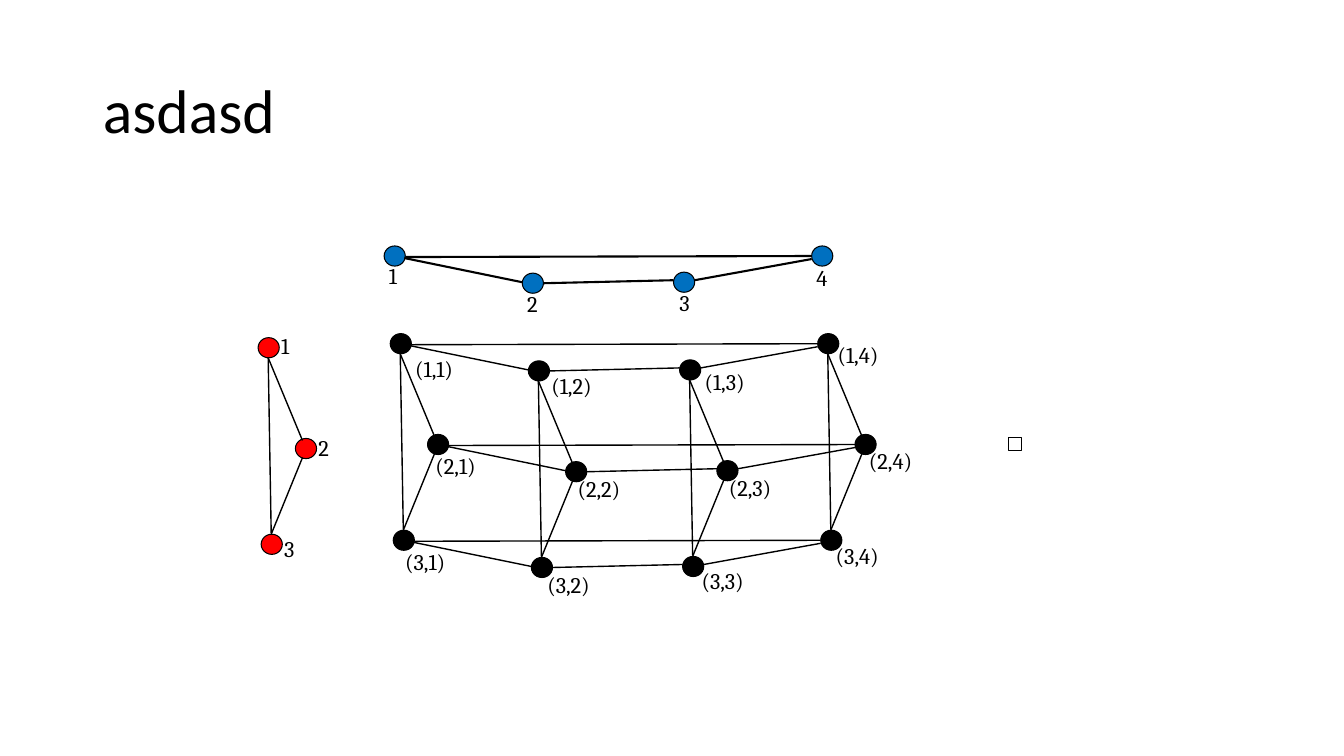
from dataclasses import dataclass

from lxml import etree
from pptx import Presentation
from pptx.dml.color import RGBColor
from pptx.enum.shapes import MSO_CONNECTOR, MSO_SHAPE
from pptx.enum.text import MSO_ANCHOR, MSO_AUTO_SIZE, PP_ALIGN
from pptx.oxml.ns import qn
from pptx.util import Inches, Pt

ELLIPSE, RECTANGLE = MSO_SHAPE.OVAL, MSO_SHAPE.RECTANGLE
STRAIGHT = MSO_CONNECTOR.STRAIGHT
LEFT, MIDDLE = PP_ALIGN.LEFT, MSO_ANCHOR.MIDDLE
GROW = MSO_AUTO_SIZE.SHAPE_TO_FIT_TEXT


@dataclass(frozen=True)
class Theme:
    ink: RGBColor = RGBColor(0, 0, 0)
    red: RGBColor = RGBColor(0xFF, 0, 0)
    blue: RGBColor = RGBColor(0, 0x70, 0xC0)
    title_font: str = "Calibri"
    label_font: str = "Cambria"
    title_size: int = 44
    label_size: int = 16
    outline: float = 0.75
    edge: float = 1
    bold_edge: float = 1.5


THEME = Theme()
TITLE = "asdasd"
NODE_SIZE = (0.21, 0.2)
LABEL_HEIGHT = 0.37

# Top-left corner of the first node in each graph
PRODUCT_START, TRIANGLE_START, CYCLE_START = (3.87, 3.31), (2.56, 3.35), (3.81, 2.44)

# Node offsets from the first node of a triangle or a four-node cycle
TRIANGLE_NODES = [(0, 0), (0.37, 1), (0.03, 1.95)]
CYCLE_NODES = [(0, 0), (1.37, 0.27), (2.87, 0.26), (4.24, 0)]

# Edge ends, measured from the same corner
TRIANGLE_EDGES = [
    ((0.13, 1.95), (0.44, 1.19)),
    ((0.1, 0.2), (0.44, 1.02)),
    ((0.1, 0.2), (0.13, 1.94)),
]
CYCLE_EDGES = [
    ((0.2, 0.12), (1.37, 0.36)),
    ((3.08, 0.34), (4.24, 0.13)),
    ((1.58, 0.37), (2.87, 0.34)),
    ((0.21, 0.11), (4.24, 0.1)),
]

# Label corners, listed in node order
TRIANGLE_LABELS = [(2.69, 3.25), (3.06, 4.26), (2.72, 5.26)]
CYCLE_LABELS = [(3.76, 2.55), (5.13, 2.83), (6.64, 2.82), (8, 2.57)]
PRODUCT_LABELS = [
    [(4.02, 3.47), (5.37, 3.64), (6.89, 3.6), (8.21, 3.34)],
    [(4.22, 4.44), (5.63, 4.66), (7.13, 4.65), (8.52, 4.39)],
    [(3.92, 5.39), (5.33, 5.62), (6.86, 5.58), (8.19, 5.33)],
]
SINGLE_WIDTH = 0.64
ROW_WIDTHS = [0.64, 0.78, 1.28]
END_MARK = (10, 4.34, 0.13, 0.13)


def shifted(start, offset):
    return start[0] + offset[0], start[1] + offset[1]


def style_text(para, font, size):
    for span in para.runs:
        span.font.name = font
        span.font.size = Pt(size)
        span.font.color.rgb = THEME.ink


def add_outlined(page, kind, bounds, weight, fill=None):
    shape = page.shapes.add_shape(kind, *map(Inches, bounds))
    shape.shadow.inherit = False
    if fill is None:
        shape.fill.background()
    else:
        shape.fill.solid()
        shape.fill.fore_color.rgb = fill
    shape.line.color.rgb = THEME.ink
    shape.line.width = Pt(weight)


def add_graph(page, start, nodes, edges, color, weight):
    for offset in nodes:
        bounds = (*shifted(start, offset), *NODE_SIZE)
        add_outlined(page, ELLIPSE, bounds, THEME.outline, color)
    for tail, head in edges:
        ends = (*shifted(start, tail), *shifted(start, head))
        edge = page.shapes.add_connector(STRAIGHT, *map(Inches, ends))
        edge.line.color.rgb = THEME.ink
        edge.line.width = Pt(weight)
        etree.SubElement(edge._element.spPr, qn("a:effectLst"))


def add_label(page, text, corner, width):
    box = page.shapes.add_textbox(*map(Inches, (*corner, width, LABEL_HEIGHT)))
    frame = box.text_frame
    frame.word_wrap = True
    frame.auto_size = GROW
    frame.text = text
    style_text(frame.paragraphs[0], THEME.label_font, THEME.label_size)


def add_title(page):
    title = page.shapes.title
    title.left, title.top, title.width, title.height = map(Inches, (0.92, 0.4, 11.5, 1.45))
    frame = title.text_frame
    frame.text = TITLE
    frame.vertical_anchor = MIDDLE
    para = frame.paragraphs[0]
    para.alignment = LEFT
    para.line_spacing = 0.9
    style_text(para, THEME.title_font, THEME.title_size)


def main():
    deck = Presentation()
    deck.slide_width, deck.slide_height = Inches(13.33), Inches(7.5)
    page = deck.slides.add_slide(deck.slide_layouts.get_by_name("Title Only"))
    add_title(page)

    for offset in CYCLE_NODES:
        column_start = shifted(PRODUCT_START, offset)
        add_graph(page, column_start, TRIANGLE_NODES, TRIANGLE_EDGES, THEME.ink, THEME.edge)
    for offset in TRIANGLE_NODES:
        row_start = shifted(PRODUCT_START, offset)
        add_graph(page, row_start, [], CYCLE_EDGES, THEME.ink, THEME.edge)
    add_graph(page, TRIANGLE_START, TRIANGLE_NODES, TRIANGLE_EDGES, THEME.red, THEME.edge)
    add_graph(page, CYCLE_START, CYCLE_NODES, CYCLE_EDGES, THEME.blue, THEME.bold_edge)

    for row, (corners, width) in enumerate(zip(PRODUCT_LABELS, ROW_WIDTHS), 1):
        for column, corner in enumerate(corners, 1):
            add_label(page, f"({row},{column})", corner, width)
    for corners in (TRIANGLE_LABELS, CYCLE_LABELS):
        for number, corner in enumerate(corners, 1):
            add_label(page, str(number), corner, SINGLE_WIDTH)

    add_outlined(page, RECTANGLE, END_MARK, THEME.edge)
    deck.save("out.pptx")


if __name__ == "__main__":
    main()
